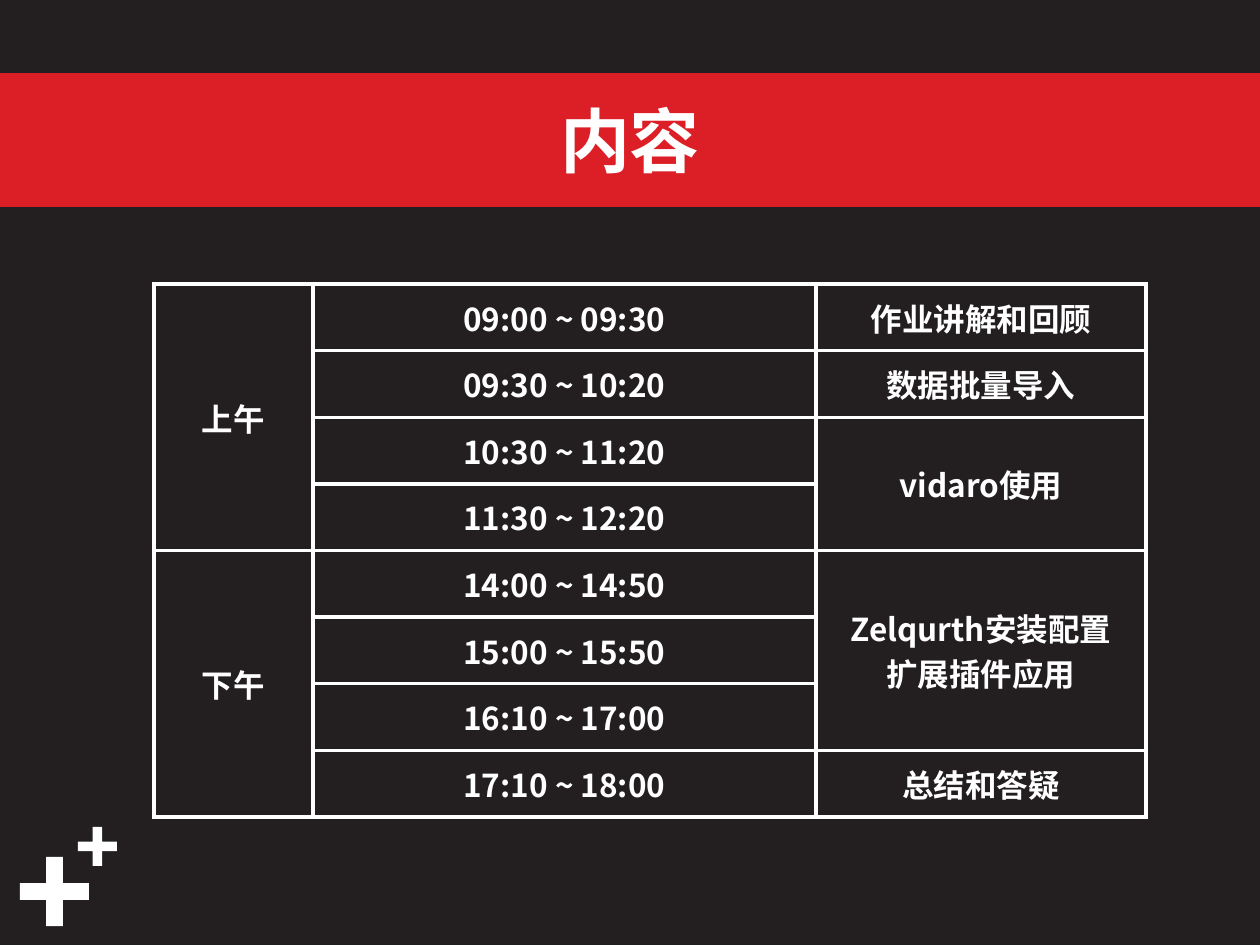
from dataclasses import dataclass

from lxml.etree import SubElement
from pptx import Presentation
from pptx.dml.color import RGBColor
from pptx.enum.shapes import MSO_SHAPE
from pptx.enum.text import MSO_ANCHOR, PP_ALIGN
from pptx.oxml.ns import qn
from pptx.util import Emu, Pt

PX = 914400 / 126
FONT = "Noto Sans CJK SC"
DARK, RED, WHITE = "231F20", "DC1F26", "FFFFFF"


@dataclass
class Plus:
    x: int
    y: int
    size: int


@dataclass
class Entry:
    """A table cell that covers `span` rows."""
    row: int
    col: int
    text: str
    span: int = 1


PLUSES = [Plus(20, 857, 69), Plus(78, 827, 39)]
TIMES = ["09:00 ~ 09:30", "09:30 ~ 10:20", "10:30 ~ 11:20", "11:30 ~ 12:20",
         "14:00 ~ 14:50", "15:00 ~ 15:50", "16:10 ~ 17:00", "17:10 ~ 18:00"]
ENTRIES = [
    Entry(0, 0, "上午", 4),
    Entry(4, 0, "下午", 4),
    *(Entry(row, 1, time) for row, time in enumerate(TIMES)),
    Entry(0, 2, "作业讲解和回顾"),
    Entry(1, 2, "数据批量导入"),
    Entry(2, 2, "vidaro使用", 2),
    Entry(4, 2, "Zelqurth安装配置\n扩展插件应用", 3),
    Entry(7, 2, "总结和答疑"),
]
TABLE_X, TABLE_Y, TABLE_H = 154, 284, 533
COLUMNS = [159, 503, 330]


def px(n: int) -> Emu:
    return Emu(round(n * PX))


def rgb(color: str) -> RGBColor:
    return RGBColor.from_string(color)


def write(tf, text: str, size: int) -> None:
    """Fill a text frame with centred bold white paragraphs."""
    tf.text = text
    for p in tf.paragraphs:
        p.alignment = PP_ALIGN.CENTER
        font = p.font
        font.name, font.size, font.bold = FONT, Pt(size), True
        font.color.rgb = rgb(WHITE)
        props = p._p.pPr.find(qn("a:defRPr"))
        SubElement(props, qn("a:ea"), typeface=FONT)


def add_plus(s, plus: Plus) -> None:
    sp = s.shapes.add_shape(MSO_SHAPE.CROSS, px(plus.x), px(plus.y),
                            px(plus.size), px(plus.size))
    sp.adjustments[0] = 0.38
    sp.shadow.inherit = False
    sp.fill.solid()
    sp.fill.fore_color.rgb = rgb(WHITE)
    sp.line.fill.background()


def add_title(s, text: str) -> None:
    sp = s.shapes.add_shape(MSO_SHAPE.RECTANGLE, 0, px(76), px(1260), px(128))
    sp.shadow.inherit = False
    sp.fill.solid()
    sp.fill.fore_color.rgb = rgb(RED)
    sp.line.color.rgb = rgb(RED)
    sp.line.width = Pt(3)
    sp.text_frame.vertical_anchor = MSO_ANCHOR.MIDDLE
    write(sp.text_frame, text, 40)


def style_cell(cell) -> None:
    """Give a cell white borders on all sides and the dark fill."""
    props = cell._tc.get_or_add_tcPr()
    for side in ("lnL", "lnR", "lnT", "lnB"):
        line = SubElement(props, qn(f"a:{side}"), w=str(Pt(2.25)))
        fill = SubElement(line, qn("a:solidFill"))
        SubElement(fill, qn("a:srgbClr"), val=WHITE)
    cell.fill.solid()
    cell.fill.fore_color.rgb = rgb(DARK)
    cell.vertical_anchor = MSO_ANCHOR.MIDDLE


def add_schedule(s, entries: list[Entry]) -> None:
    rows = len(TIMES)
    table = s.shapes.add_table(rows, len(COLUMNS), px(TABLE_X), px(TABLE_Y),
                               px(sum(COLUMNS)), px(TABLE_H)).table
    table.first_row = table.horz_banding = False
    for column, width in zip(table.columns, COLUMNS):
        column.width = px(width)
    for row in table.rows:
        row.height = px(TABLE_H) // rows
    for cell in table.iter_cells():
        style_cell(cell)
    for e in entries:
        cell = table.cell(e.row, e.col)
        if e.span > 1:
            cell.merge(table.cell(e.row + e.span - 1, e.col))
        write(cell.text_frame, e.text, 18)


def main() -> None:
    prs = Presentation()
    prs.slide_width, prs.slide_height = px(1260), px(945)
    s = prs.slides.add_slide(prs.slide_layouts[6])
    s.background.fill.solid()
    s.background.fill.fore_color.rgb = rgb(DARK)
    for plus in PLUSES:
        add_plus(s, plus)
    add_title(s, "内容")
    add_schedule(s, ENTRIES)
    prs.save("out.pptx")


if __name__ == "__main__":
    main()
